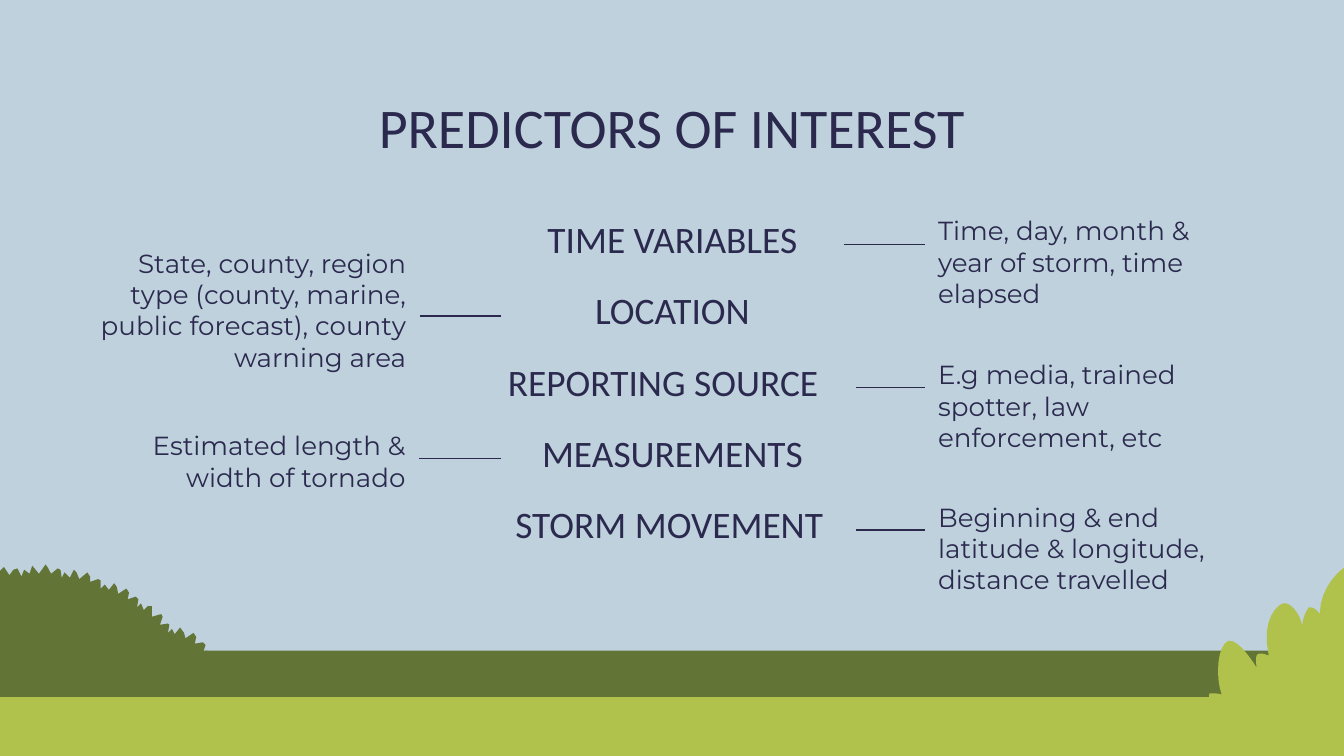
from lxml import etree
from pptx import Presentation
from pptx.dml.color import RGBColor
from pptx.enum.shapes import MSO_CONNECTOR, MSO_SHAPE
from pptx.enum.text import MSO_ANCHOR, MSO_AUTO_SIZE, PP_ALIGN
from pptx.oxml.ns import qn
from pptx.util import Cm, Pt

STRAIGHT, RECTANGLE = MSO_CONNECTOR.STRAIGHT, MSO_SHAPE.RECTANGLE
TOP, BOTTOM = MSO_ANCHOR.TOP, MSO_ANCHOR.BOTTOM
LEFT, CENTER, RIGHT = PP_ALIGN.LEFT, PP_ALIGN.CENTER, PP_ALIGN.RIGHT
NO_AUTOFIT = MSO_AUTO_SIZE.NONE
TITLE_ONLY = 5
GRID = Cm(2.54) // 100  # one step of the plant outlines

COLORS = {"sky": "BED1DD", "ink": "2B2A4E", "hill": "627537", "grass": "B0C14C"}

# Dark bush: alternating leaf tips and notches
BUSH = [
    (34, 420), (29, 427), (24, 421), (22, 427), (18, 424), (16, 429), (13, 423),
    (10, 424), (7, 428), (3, 422), (0, 425), (-1, 429), (-8, 425), (-9, 431),
    (-13, 430), (-15, 434), (-19, 429), (-21, 432), (-21, 508), (170, 508),
    (173, 504), (170, 502), (166, 501), (169, 495), (167, 493), (161, 494),
    (162, 486), (159, 486), (156, 489), (154, 484), (151, 486), (153, 480),
    (151, 478), (145, 479), (146, 474), (144, 471), (138, 475), (137, 471),
    (134, 467), (130, 472), (128, 468), (125, 471), (126, 465), (125, 464),
    (119, 465), (121, 459), (120, 457), (113, 459), (113, 451), (110, 451),
    (107, 454), (105, 449), (102, 452), (103, 446), (101, 444), (95, 446),
    (96, 441), (94, 438), (88, 442), (87, 437), (85, 434), (81, 439), (78, 435),
    (75, 438), (75, 432), (73, 431), (67, 433), (67, 429), (65, 426), (59, 431),
    (57, 426), (55, 424), (52, 430), (48, 426), (46, 430), (45, 424), (43, 423),
    (38, 427), (36, 423),
]

# Light plant: each curve is two control points and an end point
PLANT_START = (1003, 421)
PLANT_CURVES = [
    ((999, 422), (982, 436), (982, 457)), ((979, 453), (977, 452), (974, 452)),
    ((973, 453), (969, 459), (969, 466)), ((967, 455), (959, 448), (955, 449)),
    ((951, 450), (938, 460), (944, 488)), ((942, 487), (936, 485), (935, 488)),
    ((934, 490), (935, 497), (935, 497)), ((935, 497), (922, 475), (914, 477)),
    ((906, 480), (904, 503), (909, 517)), ((907, 516), (903, 516), (900, 516)),
    ((899, 518), (900, 524), (903, 527)), ((901, 526), (891, 525), (887, 528)),
    ((886, 531), (888, 538), (895, 541)), ((889, 542), (885, 546), (884, 548)),
    ((884, 548), (1022, 548), (1022, 548)), ((1022, 548), (1022, 444), (1022, 444)),
    ((1020, 444), (1015, 444), (1012, 449)), ((1013, 439), (1006, 421), (1003, 421)),
]

# Predictor, its left and width, detail, detail's side, left, top, width, height
PREDICTORS = [
    ("TIME VARIABLES", 9.47, 6.48, "Time, day, month & year of storm, time elapsed",
     "right", 17.48, 3.81, 5.94, 1.63),
    ("LOCATION", 9.47, 6.48, "State, county, region type (county, marine, "
     "public forecast), county warning area", "left", 1.45, 4.42, 6.48, 3.12),
    ("REPORTING SOURCE", 8.89, 7.29, "E.g media, trained spotter, law enforcement, etc",
     "right", 17.48, 6.53, 5.94, 1.63),
    ("MEASUREMENTS", 9.47, 6.48, "Estimated length & width of tornado",
     "left", 1.98, 7.87, 5.94, 1.63),
    ("STORM MOVEMENT", 9.12, 7.06, "Beginning & end latitude & longitude, "
     "distance travelled", "right", 17.48, 9.22, 5.94, 1.63),
]
FIRST_TOP, ROW_STEP, ROW_HEIGHT = 4.06, 1.35, 1.12


def color(name):
    return RGBColor.from_string(COLORS[name])


def smooth_outline(start, curves, steps=8):
    """Sample cubic Bezier curves into a list of points."""
    points = [start]
    for first, second, end in curves:
        corners = (points[-1], first, second, end)
        for step in range(1, steps + 1):
            t = step / steps
            weights = ((1 - t) ** 3, 3 * t * (1 - t) ** 2, 3 * t * t * (1 - t), t ** 3)
            points.append(tuple(sum(w * corner[axis] for w, corner in zip(weights, corners))
                                for axis in (0, 1)))
    return points


class PredictorSlide:
    heading_font, body_font = "Calibri", "Montserrat"
    inset = Cm(0.25)

    def __init__(self, deck):
        self.slide = deck.slides.add_slide(deck.slide_layouts[TITLE_ONLY])
        self.shapes = self.slide.shapes
        background = self.slide.background.fill
        background.solid()
        background.fore_color.rgb = color("sky")

    def paint(self, shape, fill):
        shape.shadow.inherit = False
        shape.fill.solid()
        shape.fill.fore_color.rgb = color(fill)
        shape.line.fill.background()

    def band(self, top, height, fill):
        self.paint(self.shapes.add_shape(RECTANGLE, 0, Cm(top), Cm(25.53), Cm(height)), fill)

    def plant(self, points, fill):
        scaled = [(x * GRID, y * GRID) for x, y in points]
        builder = self.shapes.build_freeform(*scaled[0])
        builder.add_line_segments(scaled[1:], close=True)
        self.paint(builder.convert_to_shape(), fill)

    def set_text(self, shape, text, font, size, align, anchor):
        frame = shape.text_frame
        frame.text = text
        frame.word_wrap = True
        frame.auto_size = NO_AUTOFIT
        frame.vertical_anchor = anchor
        frame.margin_left = frame.margin_right = self.inset
        frame.margin_top = frame.margin_bottom = self.inset
        paragraph = frame.paragraphs[0]
        paragraph.alignment = align
        paragraph.font.name = font
        paragraph.font.size = Pt(size)
        paragraph.font.color.rgb = color("ink")

    def title(self, text, left, top, width, height):
        holder = self.shapes.title
        holder.left, holder.top = Cm(left), Cm(top)
        holder.width, holder.height = Cm(width), Cm(height)
        self.set_text(holder, text, self.heading_font, 30, CENTER, TOP)

    def predictor(self, text, left, top, width):
        box = self.shapes.add_textbox(Cm(left), Cm(top), Cm(width), Cm(ROW_HEIGHT))
        self.set_text(box, text, self.heading_font, 20, CENTER, BOTTOM)

    def detail(self, text, left, top, width, height, align):
        box = self.shapes.add_textbox(Cm(left), Cm(top), Cm(width), Cm(height))
        self.set_text(box, text, self.body_font, 14, align, TOP)

    def link(self, start, end, level):
        line = self.shapes.add_connector(STRAIGHT, Cm(start), Cm(level), Cm(end), Cm(level))
        line.line.color.rgb = color("ink")
        line.line.width = Pt(0.75)
        etree.SubElement(line._element.spPr, qn("a:effectLst"))


def main():
    deck = Presentation()
    deck.slide_width, deck.slide_height = Cm(25.4), Cm(14.29)
    page = PredictorSlide(deck)

    # Landscape
    page.band(12.3, 1.75, "hill")
    page.band(13.18, 1.11, "grass")
    page.plant(smooth_outline(PLANT_START, PLANT_CURVES), "grass")
    page.plant(BUSH, "hill")

    # Title
    page.title("PREDICTORS OF INTEREST", 1.98, 1.5, 21.44, 1.52)

    # Predictors, each linked to its detail
    for row, (name, left, width, text, side, x, y, w, h) in enumerate(PREDICTORS):
        top = FIRST_TOP + row * ROW_STEP
        level = top + ROW_HEIGHT / 2
        page.predictor(name, left, top, width)
        if side == "right":
            page.detail(text, x, y, w, h, LEFT)
            page.link(left + width, x, level)
        else:
            page.detail(text, x, y, w, h, RIGHT)
            page.link(left, x + w, level)

    deck.save("out.pptx")


if __name__ == "__main__":
    main()
